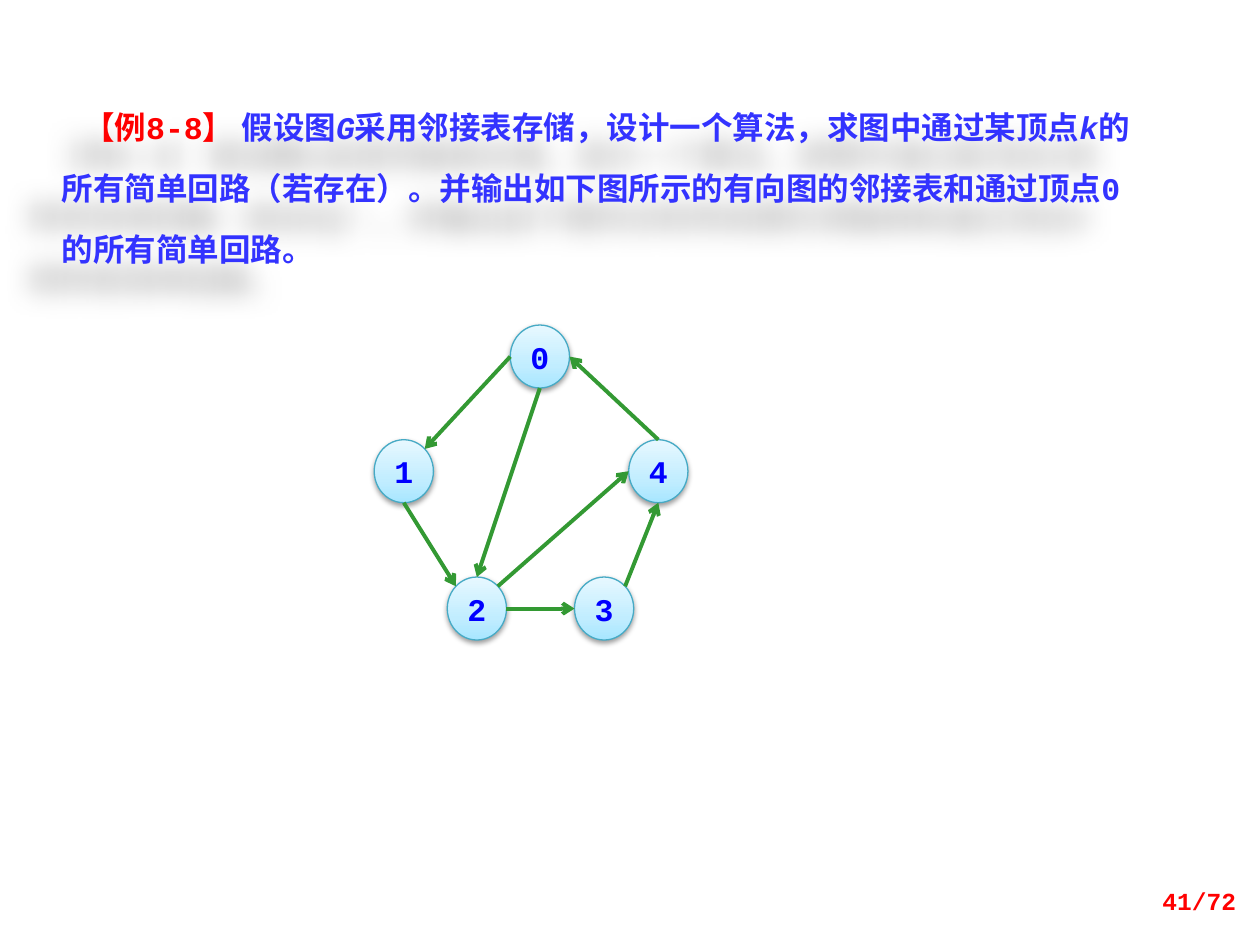
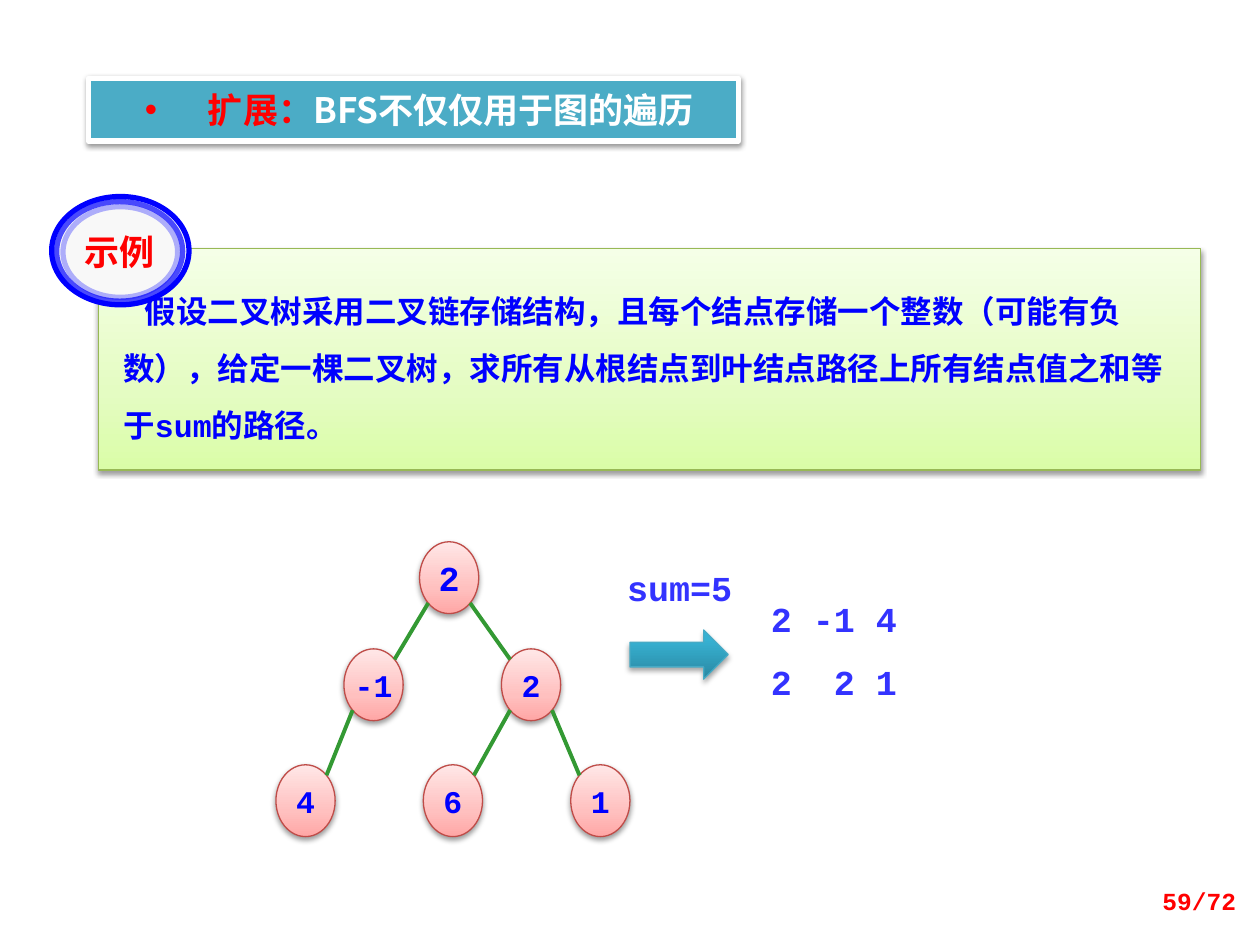
from dataclasses import dataclass
from math import sqrt
from lxml import etree
from pptx import Presentation
from pptx.dml.color import RGBColor
from pptx.enum import shapes, text
from pptx.oxml.ns import qn
from pptx.util import Inches, Pt


# Theme: colours, fonts and sizes
@dataclass(frozen=True)
class Theme:
    red: str = "FF0000"
    blue: str = "0000FF"
    violet: str = "3333FF"
    green: str = "339933"
    teal: str = "4BACC6"
    white: str = "FFFFFF"
    pale: str = "F8F8F8"
    code: str = "Courier New"
    cjk: str = "Noto Sans CJK SC"
    badge: str = "Noto Sans CJK JP"
    footer_size: int = 14
    text_size: int = 18
    large_size: int = 20
    # Gradient stops from bottom to top, then the outline colour
    sky: tuple = (((0, "A7E6FF"), (35, "C1EDFF"), (100, "E7F8FF")), "46AAC5")
    rose: tuple = (((0, "FFA6A5"), (35, "FFC0BF"), (100, "FFE7E7")), "BF4C48")
    lime: tuple = (((0, "DAFDA7"), (35, "E4FCC2"), (100, "F5FFE7")), "98B955")
    aqua: tuple = (((0, "2A88A2"), (80, "37B1D2"), (100, "34B4D6")), "46AAC5")


T = Theme()
SOFT_SHADOW = dict(alpha=38, blur=3.1, dist=1.6, angle=90)
ARROW_SHADOW = dict(alpha=35, blur=3.1, dist=1.8, angle=90)
TEXT_SHADOW = dict(alpha=30, blur=15, dist=25, angle=140)

# Content: runs are (text, colour, italic)
STATEMENT = [
    ("【例8-8】 ", T.red, False),
    ("假设图", T.violet, False),
    ("G", T.violet, True),
    ("采用邻接表存储，设计一个算法，求图中通过某顶点", T.violet, False),
    ("k", T.violet, True),
    ("的所有简单回路（若存在）。并输出如下图所示的有向图的邻接表和"
     "通过顶点0的所有简单回路。", T.violet, False),
]
HEADING = [("扩展：", T.red, False), ("BFS不仅仅用于图的遍历", T.white, False)]
TASK = [("假设二叉树采用二叉链存储结构，且每个结点存储一个整数（可能有负数），"
         "给定一棵二叉树，求所有从根结点到叶结点路径上所有结点值之和等于sum的路径。",
         T.blue, False)]
PAGES = ("41/72", "59/72")

# Nodes: key -> (label, left, top)
GRAPH_SIZE = (0.47, 0.5)
GRAPH_NODES = {
    0: ("0", 4.05, 2.58), 3: ("3", 4.56, 4.58), 2: ("2", 3.55, 4.58),
    4: ("4", 4.99, 3.49), 1: ("1", 2.97, 3.49),
}
# Edges: from, side, to, side
GRAPH_EDGES = [
    (0, "left", 1, "top right"), (1, "bottom", 2, "top left"),
    (2, "right", 3, "left"), (3, "top right", 4, "bottom"),
    (4, "top", 0, "right"), (0, "bottom", 2, "top"),
    (2, "top right", 4, "left"),
]
TREE_SIZE = (0.47, 0.57)
TREE_NODES = {
    "root": ("2", 3.33, 4.3),
    "l": ("-1", 2.73, 5.15), "r": ("2", 3.98, 5.15),
    "ll": ("4", 2.19, 6.07), "rl": ("6", 3.36, 6.07), "rr": ("1", 4.53, 6.07),
}
DOWN_LEFT, DOWN_RIGHT = ("bottom left", "top right"), ("bottom right", "top left")
TREE_EDGES = [
    (parent, start, child, end)
    for parent, child, (start, end) in [
        ("root", "l", DOWN_LEFT), ("l", "ll", DOWN_LEFT),
        ("root", "r", DOWN_RIGHT), ("r", "rl", DOWN_LEFT), ("r", "rr", DOWN_RIGHT)]
]
# Badge rings: left, top, width, height, fill, line opacity
BADGE_RINGS = [
    (0.41, 1.56, 1.09, 0.86, T.pale, 100),
    (0.45, 1.6, 1, 0.79, None, 70),
    (0.5, 1.64, 0.91, 0.72, None, 30),
]


# Formatting helpers
def rgb(colour):
    return RGBColor.from_string(colour)


def add_xml(parent, tag, **attributes):
    return etree.SubElement(parent, qn(tag), {k: str(v) for k, v in attributes.items()})


def add_alpha(parent, percent):
    add_xml(parent, "a:alpha", val=percent * 1000)


def set_shadow(shape, alpha, blur, dist, angle):
    shape.shadow.inherit = False
    effects = shape._element.spPr.find(qn("a:effectLst"))
    outer = add_xml(effects, "a:outerShdw", blurRad=Pt(blur), dist=Pt(dist),
                    dir=angle * 60000, algn="ctr", rotWithShape=0)
    add_alpha(add_xml(outer, "a:srgbClr", val="000000"), alpha)


def set_line(shape, colour, width):
    shape.line.color.rgb = rgb(colour)
    shape.line.width = Pt(width)


def set_gradient(shape, palette):
    stops, outline = palette
    shape.fill.gradient()
    shape.fill.gradient_angle = 90
    stop_list = shape._element.spPr.find(qn("a:gradFill")).find(qn("a:gsLst"))
    for old in list(stop_list):
        stop_list.remove(old)
    for position, colour in stops:
        stop = add_xml(stop_list, "a:gs", pos=position * 1000)
        add_xml(stop, "a:srgbClr", val=colour)
    set_line(shape, outline, 0.75)


def format_run(run, size, colour, font=T.code, italic=False):
    run.font.size = Pt(size)
    run.font.name = font
    run.font.bold = True
    run.font.italic = italic
    run.font.color.rgb = rgb(colour)
    east_asian = T.cjk if font == T.code else font
    run.font._element.find(qn("a:latin")).addnext(
        etree.Element(qn("a:ea"), typeface=east_asian))


def write_runs(paragraph, runs, size, font=T.code):
    for words, colour, italic in runs:
        run = paragraph.add_run()
        run.text = words
        format_run(run, size, colour, font, italic)


def set_frame(shape, insets=(0.1, 0.05, 0.1, 0.05), anchor=text.MSO_ANCHOR.TOP, wrap=True):
    frame = shape.text_frame
    frame.word_wrap = wrap
    frame.auto_size = text.MSO_AUTO_SIZE.NONE
    frame.vertical_anchor = anchor
    (frame.margin_left, frame.margin_top,
     frame.margin_right, frame.margin_bottom) = map(Inches, insets)
    return frame


def set_indent(paragraph, first, left=0):
    properties = paragraph._p.get_or_add_pPr()
    properties.set("marL", str(Inches(left)))
    properties.set("indent", str(Inches(first)))
    return properties


def add_label(parent, place, words, size, colour, align, font=T.code,
              anchor=text.MSO_ANCHOR.TOP):
    label = parent.shapes.add_textbox(*map(Inches, place))
    frame = set_frame(label, anchor=anchor)
    frame.text = words
    for paragraph in frame.paragraphs:
        paragraph.alignment = align
        for run in paragraph.runs:
            format_run(run, size, colour, font)
    return frame


def add_shape(parent, kind, place):
    shape = parent.shapes.add_shape(kind, *map(Inches, place))
    shape.shadow.inherit = False
    return shape


def place_title(slide, place):
    title = slide.shapes.title
    title.left, title.top, title.width, title.height = map(Inches, place)
    return title


# Node-and-edge diagrams
def anchor_point(node, size, side):
    _, left, top = node
    dx = ("right" in side) - ("left" in side)
    dy = ("bottom" in side) - ("top" in side)
    reach = 1 / sqrt(dx * dx + dy * dy)
    width, height = size
    return (Inches(left + width / 2 * (1 + dx * reach)),
            Inches(top + height / 2 * (1 + dy * reach)))


def add_diagram(slide, nodes, edges, size, palette, directed, sizes=None):
    group = slide.shapes.add_group_shape()
    for key, (label, left, top) in nodes.items():
        node = add_shape(group, shapes.MSO_SHAPE.OVAL, (left, top, *size))
        set_gradient(node, palette)
        set_shadow(node, **SOFT_SHADOW)
        frame = set_frame(node, (0, 0.05, 0, 0.05), text.MSO_ANCHOR.MIDDLE, wrap=False)
        frame.text = label
        frame.paragraphs[0].alignment = text.PP_ALIGN.CENTER
        format_run(frame.paragraphs[0].runs[0], (sizes or {}).get(key, T.text_size), T.blue)
    for source, start, target, end in edges:
        edge = group.shapes.add_connector(
            shapes.MSO_CONNECTOR.STRAIGHT,
            *anchor_point(nodes[source], size, start),
            *anchor_point(nodes[target], size, end))
        set_line(edge, T.green, 2.25)
        if directed:
            add_xml(edge.line._get_or_add_ln(), "a:tailEnd", type="arrow")
        add_xml(edge._element.spPr, "a:effectLst")


def add_page_number(slide, number):
    add_label(slide, (7.58, 6.95, 2.33, 0.4), number, T.footer_size, T.red,
              text.PP_ALIGN.RIGHT, anchor=text.MSO_ANCHOR.MIDDLE)


deck = Presentation()
deck.slide_width, deck.slide_height = Inches(10), Inches(7.5)
title_only = deck.slide_layouts[5]

# Slide 1: problem statement and directed graph
graph_slide = deck.slides.add_slide(title_only)
statement = place_title(graph_slide, (0.39, 0.62, 8.83, 1.51))
set_shadow(statement, **TEXT_SHADOW)
paragraph = set_frame(statement).paragraphs[0]
paragraph.alignment = text.PP_ALIGN.LEFT
paragraph.line_spacing = Pt(35)
set_indent(paragraph, 0.17)
write_runs(paragraph, STATEMENT, T.text_size)
add_diagram(graph_slide, GRAPH_NODES, GRAPH_EDGES, GRAPH_SIZE, T.sky, directed=True)
add_page_number(graph_slide, PAGES[0])

# Slide 2: heading band
tree_slide = deck.slides.add_slide(title_only)
heading = place_title(tree_slide, (0.7, 0.62, 5.16, 0.5))
heading.fill.solid()
heading.fill.fore_color.rgb = rgb(T.teal)
set_line(heading, T.white, 3)
set_shadow(heading, **SOFT_SHADOW)
paragraph = set_frame(heading, (0.2, 0.08, 0.1, 0.08), text.MSO_ANCHOR.MIDDLE).paragraphs[0]
paragraph.alignment = text.PP_ALIGN.CENTER
bullet = set_indent(paragraph, -0.5, 0.5)
add_xml(bullet, "a:buFont", typeface="Arial")
add_xml(bullet, "a:buChar", char="•")
write_runs(paragraph, HEADING, T.large_size, T.cjk)

# Slide 2: task panel
task = add_shape(tree_slide, shapes.MSO_SHAPE.RECTANGLE, (0.78, 1.97, 8.75, 1.76))
set_gradient(task, T.lime)
set_shadow(task, **SOFT_SHADOW)
paragraph = set_frame(task, (0.2, 0.2, 0.2, 0.2)).paragraphs[0]
paragraph.alignment = text.PP_ALIGN.LEFT
paragraph.line_spacing = 1.5
set_indent(paragraph, 0.17)
write_runs(paragraph, TASK, T.text_size)

# Slide 2: tree, target sum and resulting paths
add_diagram(tree_slide, TREE_NODES, TREE_EDGES, TREE_SIZE, T.rose, directed=False,
            sizes={"root": T.large_size})
add_label(tree_slide, (4.77, 4.45, 1.25, 0.44), "sum=5", T.large_size, T.violet,
          text.PP_ALIGN.CENTER)
paths = add_label(tree_slide, (6.02, 4.53, 1.64, 1.11), "2 -1 4\n2\t2 1", T.large_size,
                  T.violet, text.PP_ALIGN.LEFT)
for paragraph in paths.paragraphs:
    paragraph.line_spacing = 1.5
    tabs = add_xml(paragraph._p.get_or_add_pPr(), "a:tabLst")
    add_xml(tabs, "a:tab", pos=Inches(0.5), algn="l")
result_arrow = add_shape(tree_slide, shapes.MSO_SHAPE.RIGHT_ARROW, (5, 5, 0.78, 0.39))
set_gradient(result_arrow, T.aqua)
set_shadow(result_arrow, **ARROW_SHADOW)

# Slide 2: example badge
badge = tree_slide.shapes.add_group_shape()
for *place, fill, opacity in BADGE_RINGS:
    ring = add_shape(badge, shapes.MSO_SHAPE.OVAL, place)
    if fill:
        ring.fill.solid()
        ring.fill.fore_color.rgb = rgb(fill)
    else:
        ring.fill.background()
    set_line(ring, T.blue, 3)
    if opacity < 100:
        add_alpha(ring.line._get_or_add_ln().find(".//" + qn("a:srgbClr")), opacity)
add_label(badge, (0.47, 1.78, 0.96, 0.39), "示例", T.large_size, T.red,
          text.PP_ALIGN.CENTER, T.badge)
add_page_number(tree_slide, PAGES[1])

deck.save("out.pptx")
